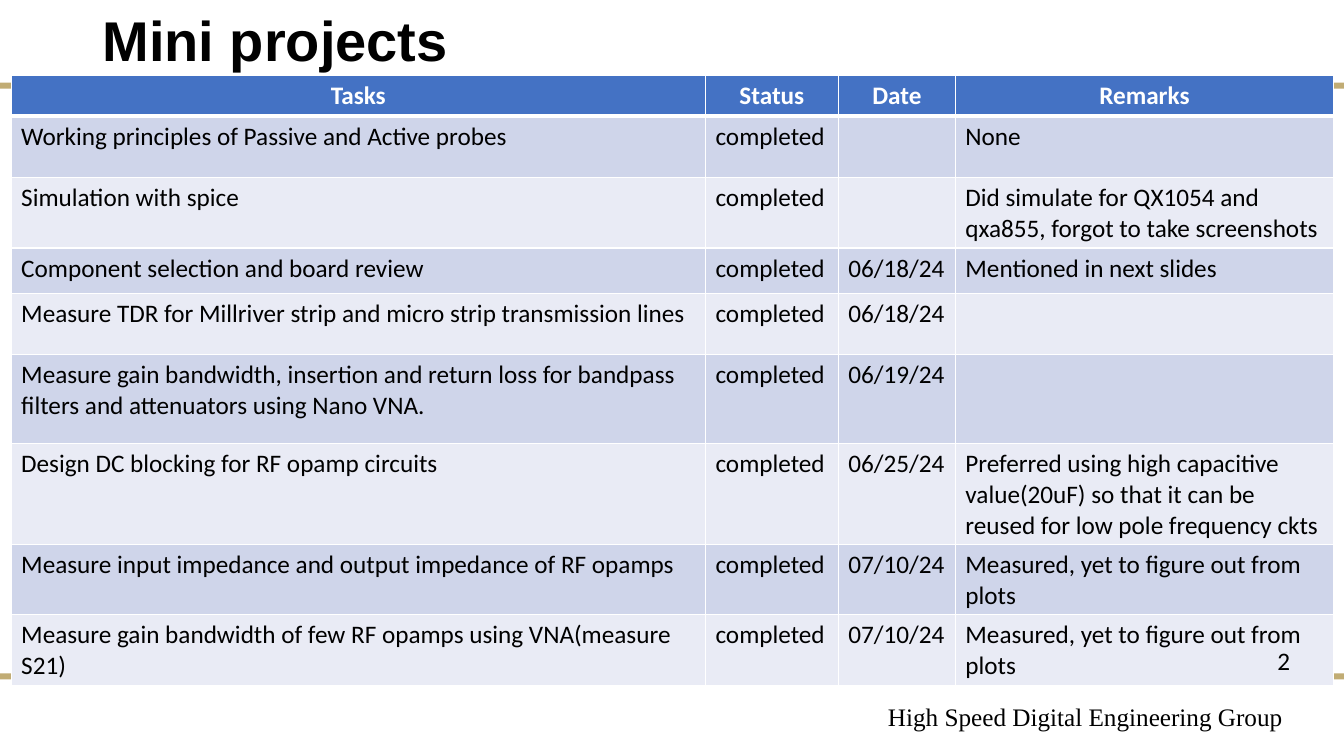
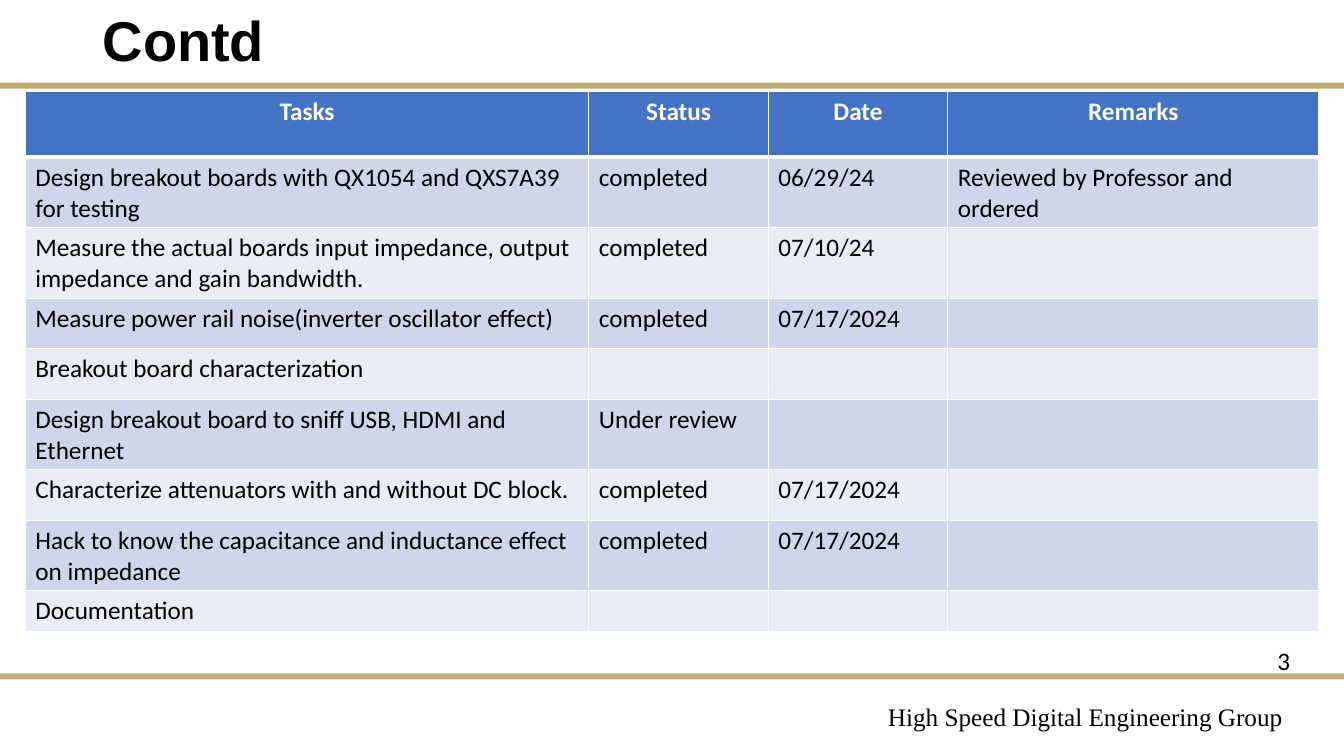
from dataclasses import dataclass

from lxml import etree
from pptx import Presentation, util as u
from pptx.dml.color import RGBColor
from pptx.enum import shapes, text
from pptx.oxml.ns import qn

# Content: frame = left, top, width in % of the slide; cols in % of the table;
# heights in % of the slide
HEAD = ("Tasks", "Status", "Date", "Remarks")
DONE = "completed"
SLIDES = [
    dict(
        title="Mini projects", number="2", frame=(0.83, 10, 98.4),
        cols=(52.5, 10.05, 8.85, 28.6),
        heights=(4.67, 8.13, 8.53, 6, 8.13, 11.73, 7.73, 8.13, 8.13),
        rows=[
            ("Working principles of Passive and Active probes", DONE, "", "None"),
            ("Simulation with spice", DONE, "",
             "Did simulate for QX1054 and qxa855, forgot to take screenshots"),
            ("Component selection and board review", DONE, "06/18/24",
             "Mentioned in next slides"),
            ("Measure TDR for Millriver strip and micro strip transmission lines",
             DONE, "06/18/24", ""),
            ("Measure gain bandwidth, insertion and return loss for bandpass "
             "filters and attenuators using Nano VNA.", DONE, "06/19/24", ""),
            ("Design DC blocking for RF opamp circuits", DONE, "06/25/24",
             "Preferred using high capacitive value(20uF) so that it can be "
             "reused for low pole frequency ckts"),
            ("Measure input impedance and output impedance of RF opamps", DONE,
             "07/10/24", "Measured, yet to figure out from plots"),
            ("Measure gain bandwidth of few RF opamps using VNA(measure S21)",
             DONE, "07/10/24", "Measured, yet to figure out from plots"),
        ],
    ),
    dict(
        title="Contd", number="3", frame=(1.88, 12.13, 96.25),
        cols=(43.57, 13.87, 13.87, 28.69),
        heights=(8.67, 7.87, 7.87, 6.67, 6.67, 7.87, 6.67, 7.87, 4.53),
        rows=[
            ("Design breakout boards with QX1054 and QXS7A39 for testing", DONE,
             "06/29/24", "Reviewed by Professor and ordered"),
            ("Measure the actual boards input impedance, output impedance and "
             "gain bandwidth.", DONE, "07/10/24", ""),
            ("Measure power rail noise(inverter oscillator effect)", DONE,
             "07/17/2024", ""),
            ("Breakout board characterization", "", "", ""),
            ("Design breakout board to sniff USB, HDMI and Ethernet",
             "Under review", "", ""),
            ("Characterize attenuators with and without DC block.", DONE,
             "07/17/2024", ""),
            ("Hack to know the capacitance and inductance effect on impedance",
             DONE, "07/17/2024", ""),
            ("Documentation", "", "", ""),
        ],
    ),
]
FOOTER = "High Speed Digital Engineering Group"

# Shared places, in % of the slide
BANDS = [(0, top, 100, 0.8) for top in (89.07, 10.93)]
TITLE_BOX = (6.9, 0.93, 86.25, 9.73)
FOOTER_BOX = (65.33, 92.13, 31.2, 5.33)
NUMBER_BOX = (94.3, 84.67, 5.7, 5.33)


@dataclass(frozen=True)
class Theme:
    gold: str = "C1AC74"
    blue: str = "4472C4"
    stripes: tuple = ("CFD5EA", "E9EBF5")
    ink: str = "000000"
    white: str = "FFFFFF"
    title_font: str = "Arial"
    body_font: str = "Calibri"
    footer_font: str = "Times New Roman"
    title_size: int = 40
    body_size: int = 18
    thin: int = 1
    thick: int = 3


T = Theme()
W, H = u.Inches(13.33), u.Inches(7.5)


def across(share):
    return int(W * share / 100)


def down(share):
    return int(H * share / 100)


def place(box):
    left, top, width, height = box
    return across(left), down(top), across(width), down(height)


def add_run(p, words, font=T.body_font, size=T.body_size, color=T.ink, bold=False):
    r = p.add_run()
    r.text = words
    r.font.name, r.font.size, r.font.bold = font, u.Pt(size), bold
    r.font.color.rgb = RGBColor.from_string(color)


def add_text(s, box, words, wrap=True, **style):
    tf = s.shapes.add_textbox(*place(box)).text_frame
    tf.word_wrap = wrap
    add_run(tf.paragraphs[0], words, **style)
    return tf


def add_frame(s, data):
    """Gold bands, title and footer."""
    for band in BANDS:
        sp = s.shapes.add_shape(shapes.MSO_SHAPE.RECTANGLE, *place(band))
        sp.shadow.inherit = False
        sp.fill.solid()
        sp.fill.fore_color.rgb = RGBColor.from_string(T.gold)
        sp.line.fill.background()
    tf = add_text(s, FOOTER_BOX, FOOTER, wrap=False, font=T.footer_font)
    tf.auto_size = text.MSO_AUTO_SIZE.SHAPE_TO_FIT_TEXT
    tf = add_text(s, TITLE_BOX, data["title"], font=T.title_font,
                  size=T.title_size, bold=True)
    tf.vertical_anchor = text.MSO_ANCHOR.MIDDLE
    tf.paragraphs[0].line_spacing = 0.9


def set_borders(cell, top, bottom):
    tc_pr = cell._tc.get_or_add_tcPr()
    for side, pt in (("L", T.thin), ("R", T.thin), ("T", top), ("B", bottom)):
        ln = etree.SubElement(tc_pr, qn(f"a:ln{side}"), w=str(u.Pt(pt)))
        fill = etree.SubElement(ln, qn("a:solidFill"))
        etree.SubElement(fill, qn("a:srgbClr"), val=T.white)


def add_task_table(s, data):
    rows = [HEAD] + data["rows"]
    heights = data["heights"]
    box = (*data["frame"], sum(heights))
    table = s.shapes.add_table(len(rows), len(HEAD), *place(box)).table
    table.horz_banding = False
    for column, share in zip(table.columns, data["cols"]):
        column.width = int(across(box[2]) * share / 100)
    for i, (row, height, words) in enumerate(zip(table.rows, heights, rows)):
        row.height = down(height)
        head = i == 0
        for cell, word in zip(row.cells, words):
            set_borders(cell, T.thick if i == 1 else T.thin,
                        T.thick if head else T.thin)
            cell.fill.solid()
            cell.fill.fore_color.rgb = RGBColor.from_string(
                T.blue if head else T.stripes[(i - 1) % 2])
            p = cell.text_frame.paragraphs[0]
            if head:
                p.alignment = text.PP_ALIGN.CENTER
            if word:
                add_run(p, word, color=T.white if head else T.ink, bold=head)
            else:
                p.font.size = u.Pt(T.body_size)


def main():
    prs = Presentation()
    prs.slide_width, prs.slide_height = W, H
    for data in SLIDES:
        s = prs.slides.add_slide(prs.slide_layouts[6])
        add_frame(s, data)
        add_task_table(s, data)
        add_text(s, NUMBER_BOX, data["number"])
    prs.save("out.pptx")


if __name__ == "__main__":
    main()
